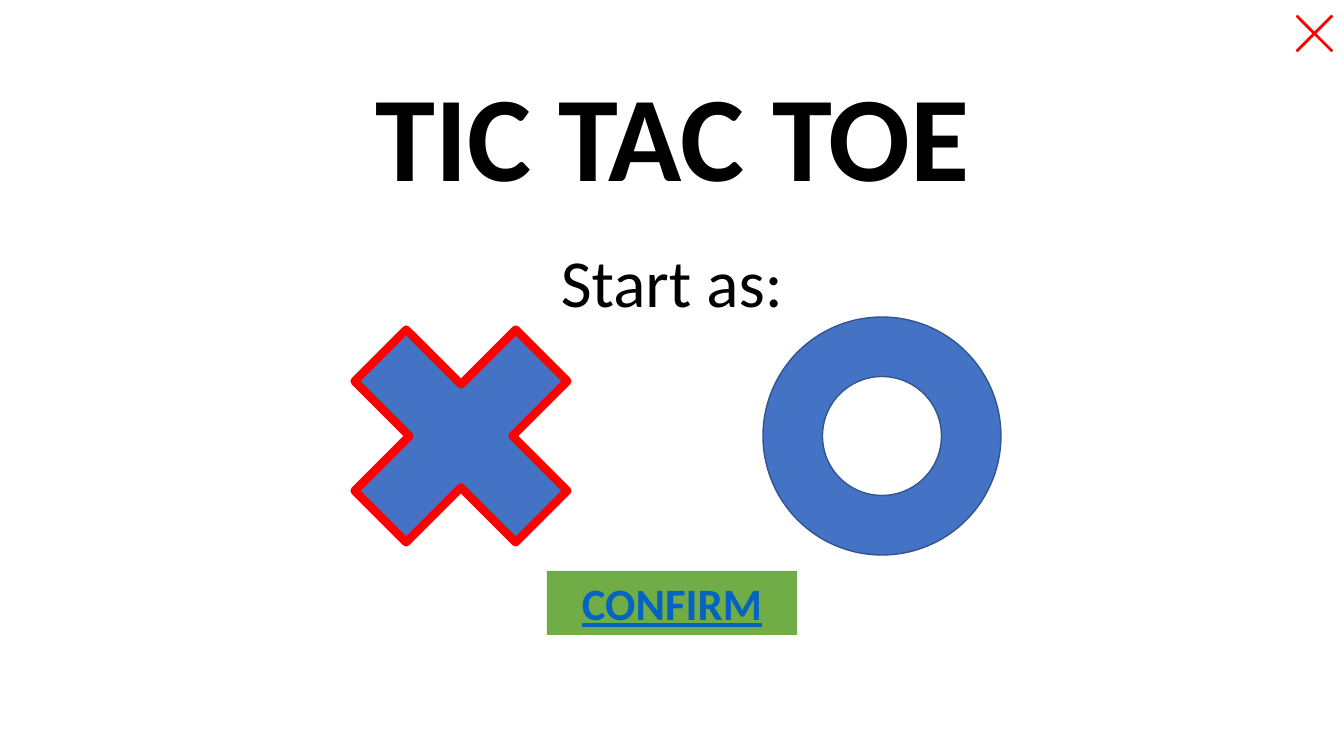
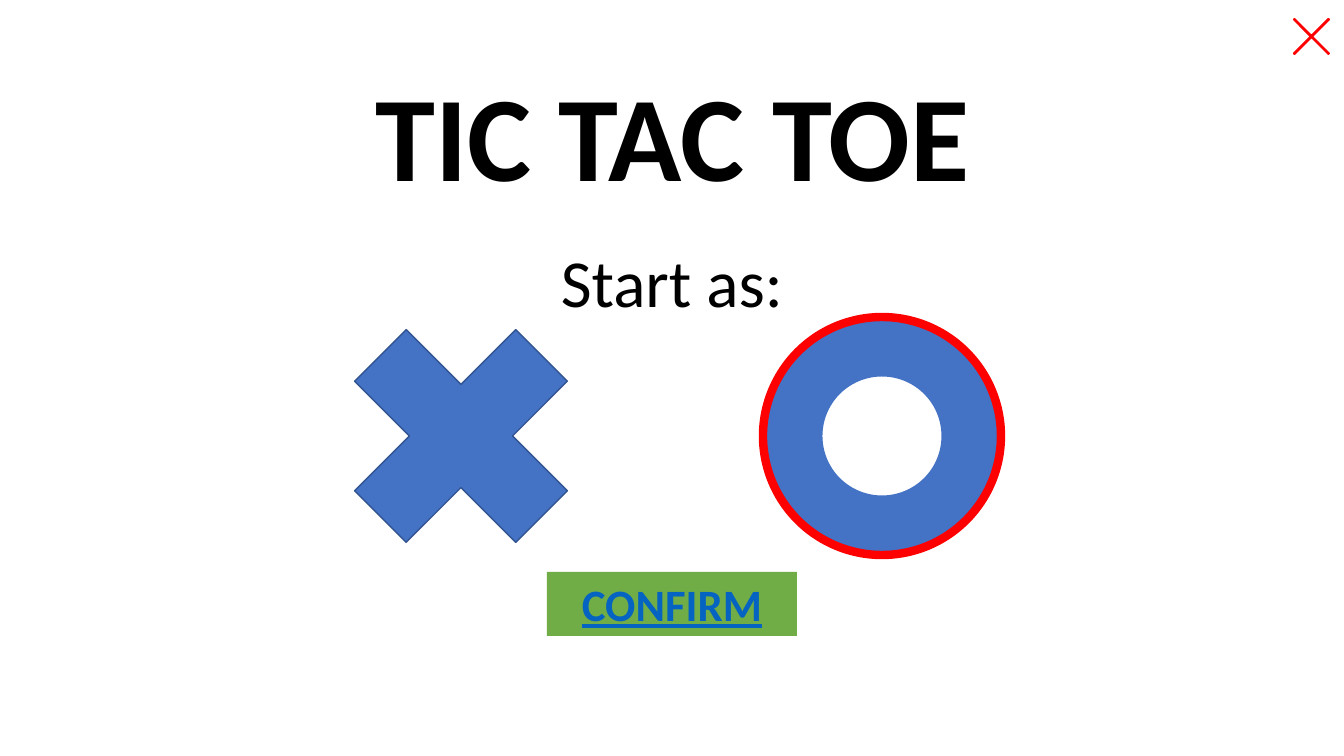
"""Build the two start screens of a tic-tac-toe game, one per selected mark."""
from dataclasses import dataclass

from pptx import Presentation, util as u
from pptx.dml.color import RGBColor
from pptx.enum import shapes, text

PX = 914400 / 100.8
MARK = shapes.MSO_SHAPE


@dataclass(frozen=True)
class Theme:
    font: str = "Calibri"
    ink: str = "000000"
    mark: str = "4472C4"
    mark_edge: str = "325491"
    accent: str = "FF0000"
    button: str = "70AD47"
    link: str = "0563C1"
    title_size: float = 86.4
    prompt_size: float = 48
    button_size: float = 32
    thin: float = 1
    thick: float = 6


th = Theme()


def add_shape(s, kind, box, fill=None, line=None, width=th.thin):
    sp = s.shapes.add_shape(kind, *(u.Emu(round(v * PX)) for v in box))
    sp.shadow.inherit = False
    if fill:
        sp.fill.solid()
        sp.fill.fore_color.rgb = RGBColor.from_string(fill)
    else:
        sp.fill.background()
    if line:
        sp.line.color.rgb = RGBColor.from_string(line)
        sp.line.width = u.Pt(width)
    else:
        sp.line.fill.background()
    return sp


def set_text(sp, words, size, color, bold=False, underline=False, grow=True):
    tf = sp.text_frame
    tf.text = words
    tf.word_wrap = True
    tf.vertical_anchor = text.MSO_ANCHOR.TOP if grow else text.MSO_ANCHOR.MIDDLE
    if grow:
        tf.auto_size = text.MSO_AUTO_SIZE.SHAPE_TO_FIT_TEXT
    p = tf.paragraphs[0]
    p.alignment = text.PP_ALIGN.CENTER
    f = p.runs[0].font
    f.name, f.size, f.bold, f.underline = th.font, u.Pt(size), bold, underline
    f.color.rgb = RGBColor.from_string(color)
    return p


prs = Presentation()
prs.slide_width, prs.slide_height = (u.Emu(round(v * PX)) for v in (1344, 756))

ring_box = (763, 317, 238, 238)
screens = [("cross", 571, (1281, 0)), ("ring", 572, (1278, 3))]

for selected, button_top, close_at in screens:
    s = prs.slides.add_slide(prs.slide_layouts[6])

    labels = [
        ((93, 69, 1159, 146), "TIC TAC TOE", th.title_size, True),
        ((462, 235, 420, 92), "Start as:", th.prompt_size, False),
    ]
    for box, words, size, is_title in labels:
        tb = s.shapes.add_textbox(*(u.Emu(round(v * PX)) for v in box))
        p = set_text(tb, words, size, th.ink, bold=is_title, grow=not is_title)
        if is_title:
            p.line_spacing = 0.9

    cross_line = (th.accent, th.thick) if selected == "cross" else (th.mark_edge, th.thin)
    ring_line = th.mark_edge if selected == "cross" else None
    add_shape(s, MARK.DONUT, ring_box, th.mark, ring_line)
    add_shape(s, MARK.MATH_MULTIPLY, (306, 281, 310, 310), th.mark, *cross_line)
    if selected == "ring":
        add_shape(s, MARK.OVAL, ring_box, None, th.accent, th.thick)

    button = add_shape(s, MARK.RECTANGLE, (547, button_top, 250, 64), th.button)
    set_text(button, "CONFIRM", th.button_size, th.link, bold=True, underline=True)

    close = add_shape(s, MARK.MATH_MULTIPLY, (*close_at, 67, 67), th.accent, th.accent)
    close.adjustments[0] = 0.021

prs.save("out.pptx")
